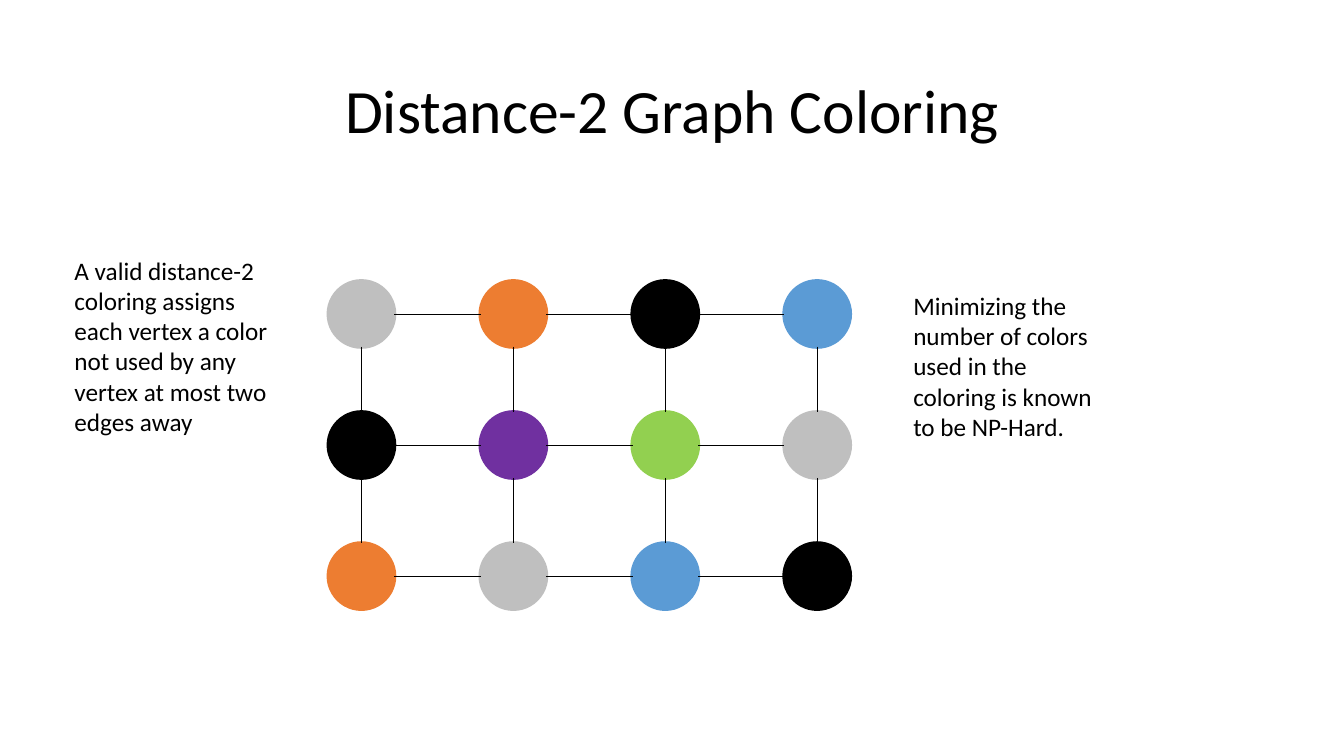
from lxml import etree
from pptx import Presentation
from pptx.dml.color import RGBColor
from pptx.enum.shapes import MSO_CONNECTOR, MSO_SHAPE
from pptx.enum.text import MSO_ANCHOR, PP_ALIGN
from pptx.oxml.ns import qn
from pptx.util import Inches, Pt

OVAL = MSO_SHAPE.OVAL
STRAIGHT = MSO_CONNECTOR.STRAIGHT
CENTER, LEFT = PP_ALIGN.CENTER, PP_ALIGN.LEFT
MIDDLE, TOP = MSO_ANCHOR.MIDDLE, MSO_ANCHOR.TOP

GRAY, ORANGE, BLACK = "BFBFBF", "ED7D31", "000000"
BLUE, PURPLE, GREEN = "5B9BD5", "7030A0", "92D050"
VERTEX_COLORS = [
    [GRAY, ORANGE, BLACK, BLUE],
    [BLACK, PURPLE, GREEN, GRAY],
    [ORANGE, GRAY, BLUE, BLACK],
]
DIAMETER = 0.65
FIRST_LEFT, LAST_LEFT = 3.26, 7.78
FIRST_TOP, LAST_TOP = 2.79, 5.39

# Text, left, top, width, height, size, alignment, anchor, line spacing
TEXTS = [
    ("Distance-2 Graph Coloring",
     0.92, 0.4, 11.5, 1.45, 44, CENTER, MIDDLE, 0.9),
    ("A valid distance-2 coloring assigns each vertex a color not used by any "
     "vertex at most two edges away",
     0.64, 2.48, 2.3, 1.92, 18, LEFT, TOP, 1.0),
    ("Minimizing the number of colors used in the coloring is known to be NP-Hard.",
     8.96, 2.83, 2.06, 1.92, 18, LEFT, TOP, 1.0),
]


def color(hex_string):
    return RGBColor.from_string(hex_string)


presentation = Presentation()
presentation.slide_width = Inches(13.33)
presentation.slide_height = Inches(7.5)
slide = presentation.slides.add_slide(presentation.slide_layouts[6])

for text, left, top, width, height, size, alignment, anchor, spacing in TEXTS:
    text_box = slide.shapes.add_textbox(
        Inches(left), Inches(top), Inches(width), Inches(height))
    text_frame = text_box.text_frame
    text_frame.word_wrap = True
    text_frame.vertical_anchor = anchor
    paragraph = text_frame.paragraphs[0]
    paragraph.alignment = alignment
    paragraph.line_spacing = spacing
    run = paragraph.add_run()
    run.text = text
    run.font.name = "Calibri"
    run.font.size = Pt(size)
    run.font.color.rgb = color(BLACK)

row_count, column_count = len(VERTEX_COLORS), len(VERTEX_COLORS[0])
column_step = (LAST_LEFT - FIRST_LEFT) / (column_count - 1)
row_step = (LAST_TOP - FIRST_TOP) / (row_count - 1)

# Each edge runs from the rim of one vertex to its right or lower neighbour
edges = []
for row, row_colors in enumerate(VERTEX_COLORS):
    for column, vertex_color in enumerate(row_colors):
        left = FIRST_LEFT + column * column_step
        top = FIRST_TOP + row * row_step
        vertex = slide.shapes.add_shape(
            OVAL, Inches(left), Inches(top), Inches(DIAMETER), Inches(DIAMETER))
        vertex.shadow.inherit = False
        vertex.fill.solid()
        vertex.fill.fore_color.rgb = color(vertex_color)
        vertex.line.color.rgb = color(vertex_color)
        vertex.line.width = Pt(3)
        center_x, center_y = left + DIAMETER / 2, top + DIAMETER / 2
        if column < column_count - 1:
            edges.append((left + DIAMETER, center_y, left + column_step, center_y))
        if row < row_count - 1:
            edges.append((center_x, top + DIAMETER, center_x, top + row_step))

for edge in edges:
    connector = slide.shapes.add_connector(STRAIGHT, *map(Inches, edge))
    connector.line.color.rgb = color(BLACK)
    connector.line.width = Pt(0.5)
    etree.SubElement(connector._element.spPr, qn("a:effectLst"))

presentation.save("out.pptx")
